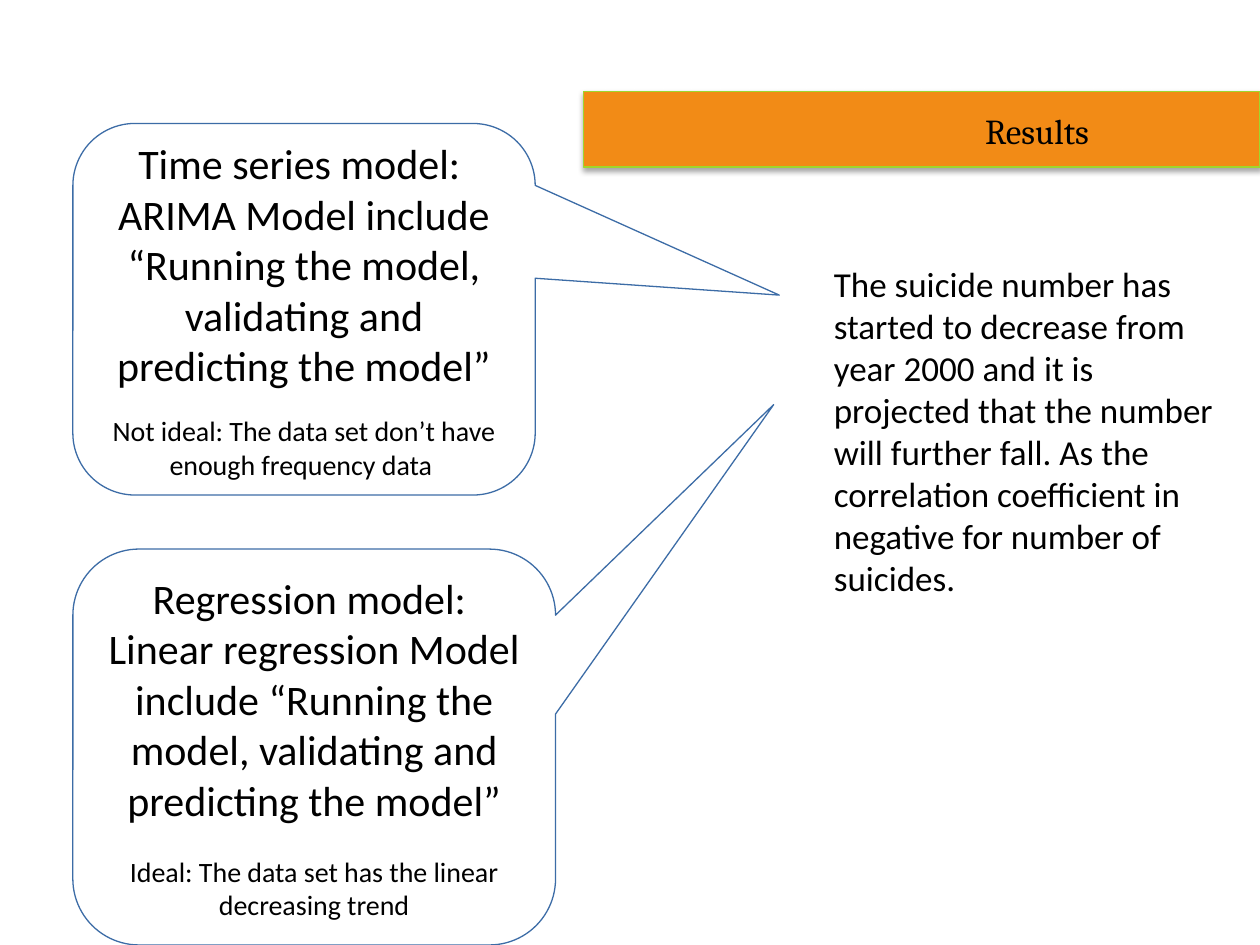
from lxml import etree
from pptx import Presentation
from pptx import util as u
from pptx.dml.color import RGBColor
from pptx.enum import shapes, text
from pptx.oxml import ns

BLACK = RGBColor(0x00, 0x00, 0x00)
WHITE = RGBColor(0xFF, 0xFF, 0xFF)
BLUE = RGBColor(0x3C, 0x6C, 0xA6)
ORANGE = RGBColor(0xF2, 0x8B, 0x16)
GREEN = RGBColor(0x9F, 0xD6, 0x2E)


def style_text(paragraph, size, font="Calibri"):
    for run in paragraph.runs:
        run.font.size = u.Pt(size)
        run.font.name = font
        run.font.color.rgb = BLACK


def style_box(box, fill, line):
    box.shadow.inherit = False
    box.fill.solid()
    box.fill.fore_color.rgb = fill
    box.line.color.rgb = line
    box.line.width = u.Pt(0.75)


prs = Presentation()
prs.slide_width = u.Cm(25.4)
prs.slide_height = u.Cm(19.05)
slide = prs.slides.add_slide(prs.slide_layouts[6])

models = [
    (2.49, 9.32, 7.49, (1.028, -0.038, 0.167), 13.5,
     "Time series model: \vARIMA Model include “Running the model, validating and predicting the model”",
     "Not ideal: The data set don’t have enough frequency data "),
    (11.07, 9.73, 7.98, (0.952, -0.865, 0.167), 17,
     "Regression model: \vLinear regression Model include “Running the model, validating and predicting the model”",
     "Ideal: The data set has the linear decreasing trend"),
]
for top, width, height, pointer, gap, description, verdict in models:
    model = slide.shapes.add_shape(
        shapes.MSO_SHAPE.ROUNDED_RECTANGULAR_CALLOUT,
        u.Cm(1.47), u.Cm(top), u.Cm(width), u.Cm(height))
    style_box(model, WHITE, BLUE)
    for index, value in enumerate(pointer):
        model.adjustments[index] = value
    frame = model.text_frame
    frame.word_wrap = True
    frame.vertical_anchor = text.MSO_ANCHOR.MIDDLE
    for paragraph, words, size in (
            (frame.paragraphs[0], description, 24),
            (frame.add_paragraph(), verdict, 16)):
        paragraph.text = words
        paragraph.alignment = text.PP_ALIGN.CENTER
        style_text(paragraph, size)
    paragraph.space_before = u.Pt(gap)

header = slide.shapes.add_group_shape()
banner = header.shapes.add_shape(
    shapes.MSO_SHAPE.RECTANGLE, u.Cm(11.76), u.Cm(1.85), u.Cm(13.64), u.Cm(1.52))
style_box(banner, ORANGE, GREEN)
effects = banner._element.spPr.find(ns.qn("a:effectLst"))
shade = etree.SubElement(
    effects, ns.qn("a:outerShdw"), blurRad=str(u.Pt(3.1)), dist=str(u.Pt(1.8)),
    dir="5400000", rotWithShape="0")
tint = etree.SubElement(shade, ns.qn("a:srgbClr"), val=str(BLACK))
etree.SubElement(tint, ns.qn("a:alpha"), val="35000")

title = header.shapes.add_textbox(u.Cm(19.61), u.Cm(2.08), u.Cm(2.79), u.Cm(1.12))
title.text_frame.text = "Results"
title.text_frame.word_wrap = False
style_text(title.text_frame.paragraphs[0], 20, "Cambria")

finding = slide.shapes.add_textbox(u.Cm(16.56), u.Cm(5.16), u.Cm(8.36), u.Cm(7.09))
finding.text_frame.word_wrap = True
finding.text_frame.text = (
    "The suicide number has started to decrease from year 2000 and it is projected "
    "that the number will further fall. As the correlation coefficient in negative "
    "for number of suicides.")
style_text(finding.text_frame.paragraphs[0], 20)

for label in (title, finding):
    label.text_frame.auto_size = text.MSO_AUTO_SIZE.SHAPE_TO_FIT_TEXT

prs.save("out.pptx")
